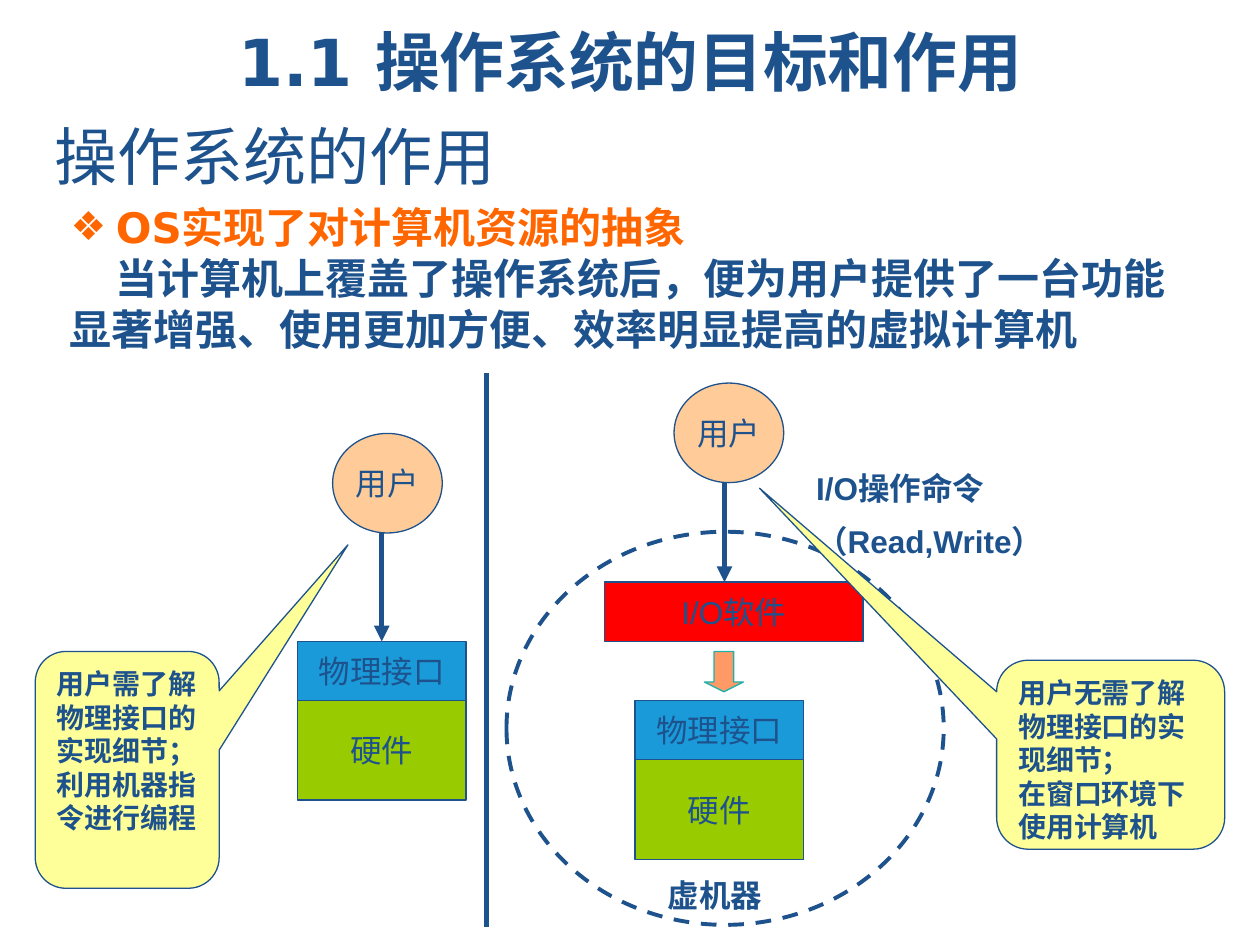
from lxml import etree
from pptx import Presentation
from pptx import util as u
from pptx.dml.color import RGBColor
from pptx.enum import dml, shapes as s, text as t
from pptx.oxml.ns import qn

NAVY = RGBColor(0x1D, 0x52, 0x8D)
ORANGE = RGBColor(0xFF, 0x66, 0x00)
PEACH = RGBColor(0xFF, 0xCC, 0x99)
BLUE = RGBColor(0x1B, 0x9A, 0xD9)
GREEN = RGBColor(0x99, 0xCC, 0x00)
RED = RGBColor(0xFF, 0x00, 0x00)
SALMON = RGBColor(0xFF, 0x99, 0x66)
TEAL = RGBColor(0x1D, 0xB3, 0xAC)
YELLOW = RGBColor(0xFF, 0xFF, 0x99)


def inches(*lengths):
    return [u.Inches(length) for length in lengths]


def place(shape, box):
    shape.left, shape.top, shape.width, shape.height = inches(*box)


def format_paragraph(paragraph, size, font="Arial", color=NAVY, bold=False,
                     align=t.PP_ALIGN.LEFT):
    paragraph.alignment = align
    for run in paragraph.runs:
        run.font.size = u.Pt(size)
        run.font.name = font
        run.font.bold = bold
        run.font.color.rgb = color
        east_asian = etree.SubElement(run.font._element, qn("a:ea"))
        east_asian.set("typeface", font)


def set_indent(paragraph, margin, first_line):
    properties = paragraph._p.get_or_add_pPr()
    properties.set("marL", str(u.Inches(margin)))
    properties.set("indent", str(u.Inches(first_line)))
    return properties


def add_heading(shape, box, words, size, bold, align):
    place(shape, box)
    frame = shape.text_frame
    frame.word_wrap = True
    frame.auto_size = t.MSO_AUTO_SIZE.NONE
    frame.vertical_anchor = t.MSO_ANCHOR.BOTTOM
    frame.margin_left = frame.margin_right = frame.margin_bottom = 0
    frame.text = words
    format_paragraph(frame.paragraphs[0], size, "DejaVu Sans", bold=bold, align=align)


def add_body(shape, box):
    place(shape, box)
    frame = shape.text_frame
    frame.auto_size = t.MSO_AUTO_SIZE.NONE
    frame.text = ("OS实现了对计算机资源的抽象\n"
                  "当计算机上覆盖了操作系统后，便为用户提供了一台功能"
                  "显著增强、使用更加方便、效率明显提高的虚拟计算机")
    point, explanation = frame.paragraphs
    for paragraph in frame.paragraphs:
        paragraph.space_before = u.Pt(0)
        paragraph.line_spacing = u.Pt(29)
    bullet = set_indent(point, 0.47, -0.36)
    etree.SubElement(bullet, qn("a:buSzPct")).set("val", "95000")
    etree.SubElement(bullet, qn("a:buChar")).set("char", "❖")
    etree.SubElement(set_indent(explanation, 0.1, 0.37), qn("a:buNone"))
    format_paragraph(point, 24, "DejaVu Sans", ORANGE, True)
    format_paragraph(explanation, 24, "Noto Sans CJK SC", bold=True)


def add_block(shapes, kind, box, fill=None, words="", line=NAVY, width=0.75):
    shape = shapes.add_shape(kind, *inches(*box))
    shape.shadow.inherit = False
    if fill is None:
        shape.fill.background()
    else:
        shape.fill.solid()
        shape.fill.fore_color.rgb = fill
    shape.line.color.rgb = line
    shape.line.width = u.Pt(width)
    if words:
        frame = shape.text_frame
        frame.word_wrap = False
        frame.vertical_anchor = t.MSO_ANCHOR.MIDDLE
        frame.text = words
        format_paragraph(frame.paragraphs[0], 18, align=t.PP_ALIGN.CENTER)
    return shape


def add_line(shapes, x, top, bottom, arrow=False):
    connector = shapes.add_connector(s.MSO_CONNECTOR.STRAIGHT, *inches(x, top, x, bottom))
    connector.line.color.rgb = NAVY
    connector.line.width = u.Pt(3)
    if arrow:
        tail = etree.SubElement(connector.line._get_or_add_ln(), qn("a:tailEnd"))
        tail.set("type", "triangle")
    etree.SubElement(connector._element.spPr, qn("a:effectLst"))


def add_label(shapes, box, words):
    frame = shapes.add_textbox(*inches(*box)).text_frame
    frame.word_wrap = True
    frame.text = words
    for index, paragraph in enumerate(frame.paragraphs):
        paragraph.space_before = u.Pt(9 if index else 0)
        format_paragraph(paragraph, 18, bold=True)


def add_callout(shapes, box, pointer, words):
    callout = add_block(shapes, s.MSO_SHAPE.ROUNDED_RECTANGULAR_CALLOUT, box, YELLOW)
    for index, value in enumerate((*pointer, 0.167)):
        callout.adjustments[index] = value
    frame = callout.text_frame
    frame.word_wrap = True
    frame.margin_right = u.Inches(0.05)
    frame.vertical_anchor = t.MSO_ANCHOR.TOP
    frame.text = words
    for paragraph in frame.paragraphs:
        format_paragraph(paragraph, 16, bold=True)


def add_user(shapes, left, top):
    add_block(shapes, s.MSO_SHAPE.OVAL, (left, top, 0.87, 0.79), PEACH, "用户")


def add_machine(shapes, left, top):
    add_block(shapes, s.MSO_SHAPE.RECTANGLE, (left, top, 1.34, 0.47), BLUE, "物理接口")
    add_block(shapes, s.MSO_SHAPE.RECTANGLE, (left, top + 0.47, 1.34, 0.79), GREEN, "硬件")


def add_bare_machine(shapes, left, top):
    add_user(shapes, left + 0.28, top)
    add_machine(shapes, left, top + 1.65)
    add_line(shapes, left + 0.67, top + 0.78, top + 1.65, arrow=True)


def add_virtual_machine(shapes, left, top):
    add_user(shapes, left + 1.33, top)
    circle = add_block(shapes, s.MSO_SHAPE.OVAL, (left, top + 1.18, 3.47, 3.12), width=2.25)
    circle.line.dash_style = dml.MSO_LINE.DASH
    add_block(shapes, s.MSO_SHAPE.RECTANGLE, (left + 0.78, top + 1.58, 2.05, 0.47),
              RED, "I/O软件")
    add_machine(shapes, left + 1.02, top + 2.52)
    add_block(shapes, s.MSO_SHAPE.DOWN_ARROW, (left + 1.57, top + 2.13, 0.31, 0.32),
              SALMON, line=TEAL).adjustments[1] = 0.25
    add_line(shapes, left + 1.73, top + 0.79, top + 1.58, arrow=True)
    add_label(shapes, (left + 2.36, top + 0.63, 2.6, 0.85), "I/O操作命令\n（Read,Write）")
    add_label(shapes, (left + 1.18, top + 3.86, 1.26, 0.4), "虚机器")


def main():
    presentation = Presentation()
    presentation.slide_width, presentation.slide_height = inches(10, 7.5)
    slide = presentation.slides.add_slide(presentation.slide_layouts[1])
    shapes = slide.shapes
    add_heading(shapes.title, (0.43, 0.91, 9.06, 0.62), "操作系统的作用", 36, False,
                t.PP_ALIGN.LEFT)
    add_body(slide.placeholders[1], (0.35, 1.55, 9.29, 1.34))
    chapter_box = (0.5, 0.17, 9, 0.62)
    add_heading(shapes.add_textbox(*inches(*chapter_box)), chapter_box,
                "1.1 操作系统的目标和作用", 37, True, t.PP_ALIGN.CENTER)
    add_bare_machine(shapes, 2.36, 3.44)
    add_virtual_machine(shapes.add_group_shape().shapes, 4.02, 3.04)
    add_callout(shapes, (0.28, 5.17, 1.46, 1.88), (1.2, -0.95),
                "用户需了解物理接口的实现细节；\n利用机器指令进行编程")
    add_callout(shapes, (7.91, 5.24, 1.81, 1.5), (-1.54, -1.41),
                "用户无需了解物理接口的实现细节；\n在窗口环境下使用计算机")
    add_line(shapes, 3.86, 2.96, 7.36)
    presentation.save("out.pptx")


if __name__ == "__main__":
    main()
